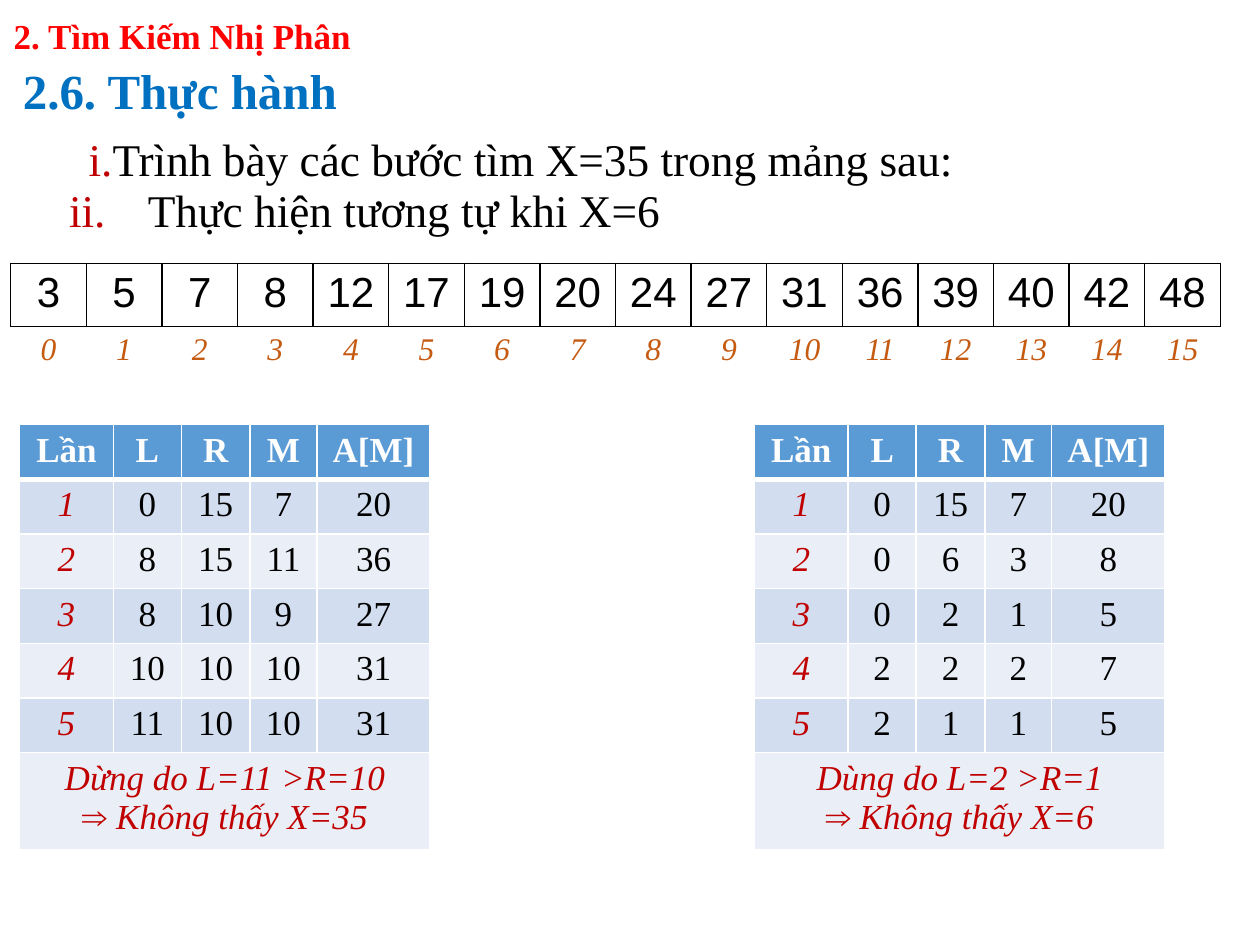
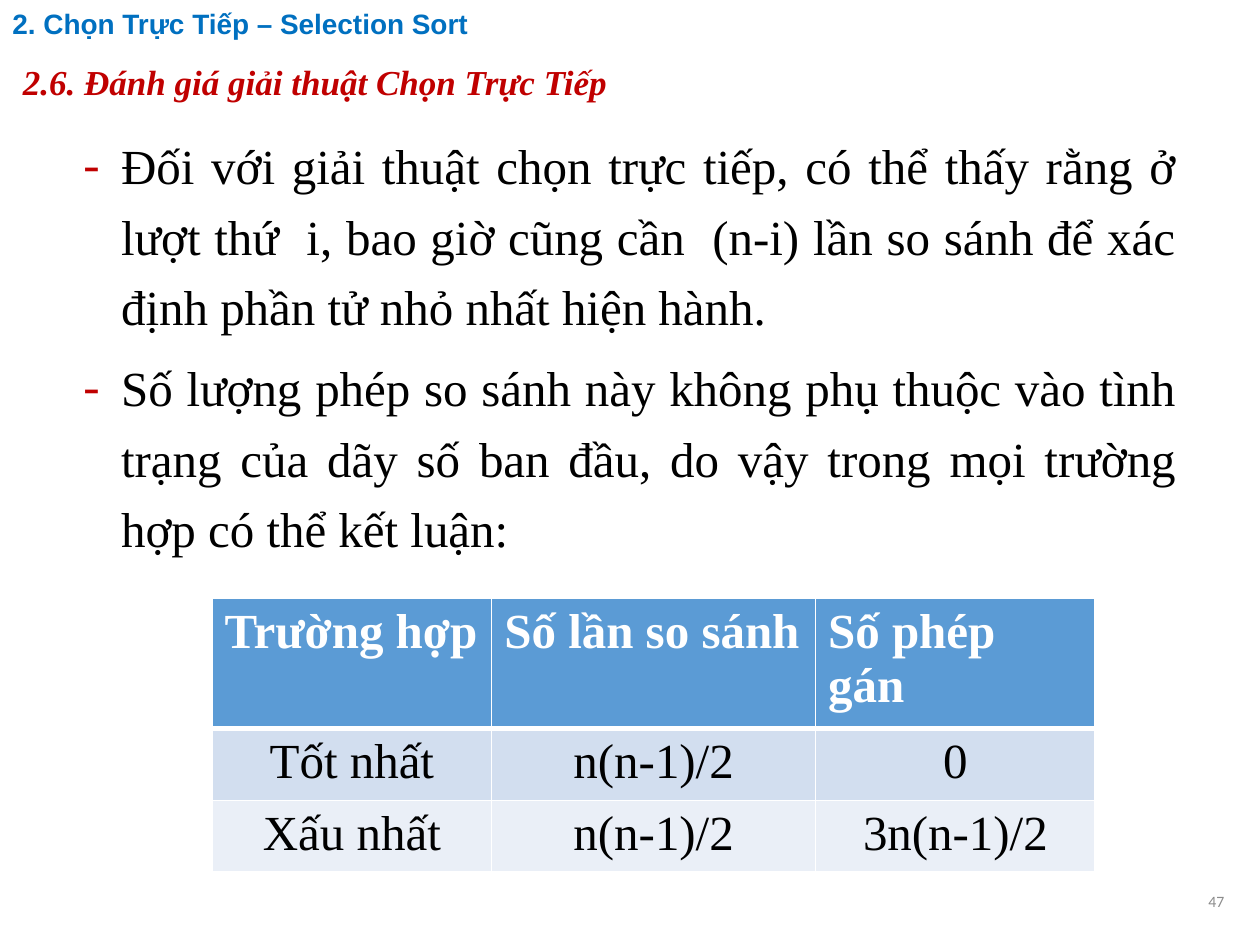
from lxml.etree import SubElement
from pptx import Presentation
from pptx.dml.color import RGBColor
from pptx.enum.text import MSO_ANCHOR, PP_ALIGN
from pptx.oxml.ns import qn
from pptx.util import Inches, Pt

COLORS = {
    "black": "000000", "white": "FFFFFF", "red": "FF0000", "dark_red": "C00000",
    "blue": "0070C0", "orange": "C55A11", "gray": "8C8C8C",
    "header": "5B9BD5", "band_dark": "D2DEEF", "band_light": "EAEFF7",
}
SERIF, SANS, NUMBER_FONT = "Times New Roman", "Arial", "Calibri"

# Every slide is a grid of 100 columns and 75 rows.
WIDTH, HEIGHT = Inches(10), Inches(7.5)
COL, ROW = WIDTH / 100, HEIGHT / 75

TRACE_COLUMNS = [7.45, 5.4, 5.45, 5.3, 9]
TRACE_HEADER = ["Lần", "L", "R", "M", "A[M]"]


def cols(n):
    return round(n * COL)


def rows(n):
    return round(n * ROW)


def paint(fill, color):
    fill.solid()
    fill.fore_color.rgb = RGBColor.from_string(COLORS[color])


def style(p, size, color, font=SERIF, bold=False, italic=False, align=PP_ALIGN.LEFT):
    p.alignment = align
    p.font.name, p.font.size = font, Pt(size)
    p.font.bold, p.font.italic = bold, italic
    p.font.color.rgb = RGBColor.from_string(COLORS[color])


def add_text(s, left, top, width, height, paragraphs, size, color, fill=None,
             anchor=MSO_ANCHOR.MIDDLE, spacing=1.0, before=0, **look):
    """Add a text box and return its paragraphs."""
    sp = s.shapes.add_textbox(cols(left), rows(top), cols(width), rows(height))
    if fill:
        paint(sp.fill, fill)
    tf = sp.text_frame
    tf.word_wrap = True
    tf.vertical_anchor = anchor
    tf.text = "\n".join(paragraphs)
    for p in tf.paragraphs:
        p.line_spacing, p.space_before = spacing, Pt(before)
        style(p, size, color, **look)
    return tf.paragraphs


def add_bullet(p, margin, hanging, tag, **attributes):
    pPr = p._p.get_or_add_pPr()
    pPr.set("marL", str(cols(margin)))
    pPr.set("indent", str(-cols(hanging)))
    color = pPr.makeelement(qn("a:buClr"), {})
    SubElement(color, qn("a:srgbClr"), val=COLORS["dark_red"])
    font = pPr.makeelement(qn("a:buFont"), {"typeface": SERIF})
    bullet = pPr.makeelement(qn(tag), attributes)
    default_font = pPr.find(qn("a:defRPr"))
    for element in (color, font, bullet):
        default_font.addprevious(element)


def set_borders(cell, color, **widths):
    """Draw the sides named in widths (L, R, T, B) and hide the others."""
    tcPr = cell._tc.get_or_add_tcPr()
    for side in "LRTB":
        line = SubElement(tcPr, qn(f"a:ln{side}"), w=str(Pt(widths.get(side, 0))))
        if side in widths:
            fill = SubElement(line, qn("a:solidFill"))
            SubElement(fill, qn("a:srgbClr"), val=COLORS[color])
        else:
            SubElement(line, qn("a:noFill"))


def fill_cell(cell, text, size, color, fill=None, **look):
    cell.text = text
    if fill:
        paint(cell.fill, fill)
    else:
        cell.fill.background()
    for p in cell.text_frame.paragraphs:
        style(p, size, color, **look)


def add_table(s, left, top, height, widths, row_count, row_height):
    """Add a table whose rows grow from row_height to fit their text."""
    frame = s.shapes.add_table(row_count, len(widths), cols(left), rows(top),
                               cols(sum(widths)), rows(height))
    table = frame.table
    table.first_row = table.horz_banding = False
    for column, width in zip(table.columns, widths):
        column.width = cols(width)
    for row in table.rows:
        row.height = rows(row_height)
    frame.height = rows(height)
    return table


def add_array(s, left, top, values):
    """Show the values in boxes, with their indexes below."""
    table = add_table(s, left, top, 8.8, [6] * len(values), 2, 3)
    for i, value in enumerate(values):
        box, index = table.cell(0, i), table.cell(1, i)
        set_borders(box, "black", L=1, R=1, T=1, B=1)
        fill_cell(box, str(value), 24, "black", font=SANS, align=PP_ALIGN.CENTER)
        set_borders(index, "black", T=1)
        fill_cell(index, str(i), 18, "orange", italic=True, align=PP_ALIGN.CENTER)


def add_banded_table(s, left, top, height, widths, data, size,
                     header_align=PP_ALIGN.CENTER, italic_keys=False):
    table = add_table(s, left, top, height, widths, len(data), 4.06)
    for r, row in enumerate(data):
        for c, text in enumerate(row):
            cell = table.cell(r, c)
            set_borders(cell, "white", L=1, R=1, T=3 if r == 1 else 1, B=1 if r else 3)
            if r == 0:
                fill_cell(cell, text, size, "white", "header", bold=True, align=header_align)
                continue
            key = italic_keys and c == 0
            fill_cell(cell, text, size, "dark_red" if key else "black",
                      "band_dark" if r % 2 else "band_light",
                      italic=key, align=PP_ALIGN.CENTER)
    return table


def add_trace(s, left, steps, conclusion):
    """Table of binary search steps, closed by a merged conclusion row."""
    numbered = [[str(n) for n in (i, *step)] for i, step in enumerate(steps, 1)]
    closing = [conclusion] + [""] * (len(TRACE_HEADER) - 1)
    data = [TRACE_HEADER, *numbered, closing]
    table = add_banded_table(s, left, 33.7, 33.7, TRACE_COLUMNS, data, 20,
                             italic_keys=True)
    last = len(data) - 1
    table.cell(last, 0).merge(table.cell(last, len(TRACE_HEADER) - 1))


def build_search_practice(s):
    add_text(s, 0.83, 4.15, 86.2, 6, ["2.6. Thực hành"], 28, "blue", bold=True)
    add_text(s, 0.1, 0, 92.9, 6, ["2. Tìm Kiếm Nhị Phân"], 20, "red", bold=True,
             spacing=0.9, before=7.5)
    tasks = [
        (4.85, 9.9, 3, 1.8, "Trình bày các bước tìm X=35 trong mảng sau:"),
        (4.5, 14, 6.25, 6.25, "Thực hiện tương tự khi X=6"),
    ]
    for number, (left, top, margin, hanging, task) in enumerate(tasks, 1):
        p, = add_text(s, left, top, 90, 5.4, [task], 25.9, "black", before=6,
                      anchor=MSO_ANCHOR.TOP, align=PP_ALIGN.JUSTIFY)
        add_bullet(p, margin, hanging, "a:buAutoNum", type="romanLcPeriod",
                   startAt=str(number))
    add_array(s, 0.85, 20.9,
              [3, 5, 7, 8, 12, 17, 19, 20, 24, 27, 31, 36, 39, 40, 42, 48])
    add_trace(s, 1.55, [(0, 15, 7, 20), (8, 15, 11, 36), (8, 10, 9, 27),
                        (10, 10, 10, 31), (11, 10, 10, 31)],
              "Dừng do L=11 >R=10\n⇒ Không thấy X=35")
    add_trace(s, 59.87, [(0, 15, 7, 20), (0, 6, 3, 8), (0, 2, 1, 5),
                         (2, 2, 2, 7), (2, 1, 1, 5)],
              "Dùng do L=2 >R=1\n⇒ Không thấy X=6")


def build_sort_evaluation(s):
    points = add_text(s, 2.63, 9.33, 91.7, 36.7, [
        "Ðối với giải thuật chọn trực tiếp, có thể thấy rằng ở lượt thứ  i, bao giờ "
        "cũng cần  (n-i) lần so sánh để xác định phần tử nhỏ nhất hiện hành.",
        "Số lượng phép so sánh này không phụ thuộc vào tình trạng của dãy số ban đầu, "
        "do vậy trong mọi trường hợp có thể kết luận:",
    ], 28, "black", anchor=MSO_ANCHOR.TOP, spacing=1.2, before=6, align=PP_ALIGN.JUSTIFY)
    for p in points:
        add_bullet(p, 6, 3, "a:buChar", char="-")
    add_text(s, 75.65, 69.5, 22.5, 4, ["47"], 9, "gray", font=NUMBER_FONT,
             align=PP_ALIGN.RIGHT)
    add_text(s, 0.83, 3.3, 92.9, 6, ["2.6. Đánh giá giải thuật Chọn Trực Tiếp"], 20,
             "dark_red", fill="white", bold=True, italic=True, spacing=1.1, before=5,
             align=PP_ALIGN.JUSTIFY)
    add_text(s, 0, 0, 92.9, 4, ["2. Chọn Trực Tiếp – Selection Sort"], 16, "blue",
             font=SANS, bold=True, spacing=0.9)
    add_banded_table(s, 16.83, 47.5, 17, [22.2, 25.7, 22.2], [
        ["Trường hợp", "Số lần so sánh", "Số phép gán"],
        ["Tốt nhất", "n(n-1)/2", "0"],
        ["Xấu nhất", "n(n-1)/2", "3n(n-1)/2"],
    ], 28, header_align=PP_ALIGN.LEFT)


def main():
    prs = Presentation()
    prs.slide_width, prs.slide_height = WIDTH, HEIGHT
    for build in (build_search_practice, build_sort_evaluation):
        build(prs.slides.add_slide(prs.slide_layouts[6]))
    prs.save("out.pptx")


if __name__ == "__main__":
    main()
